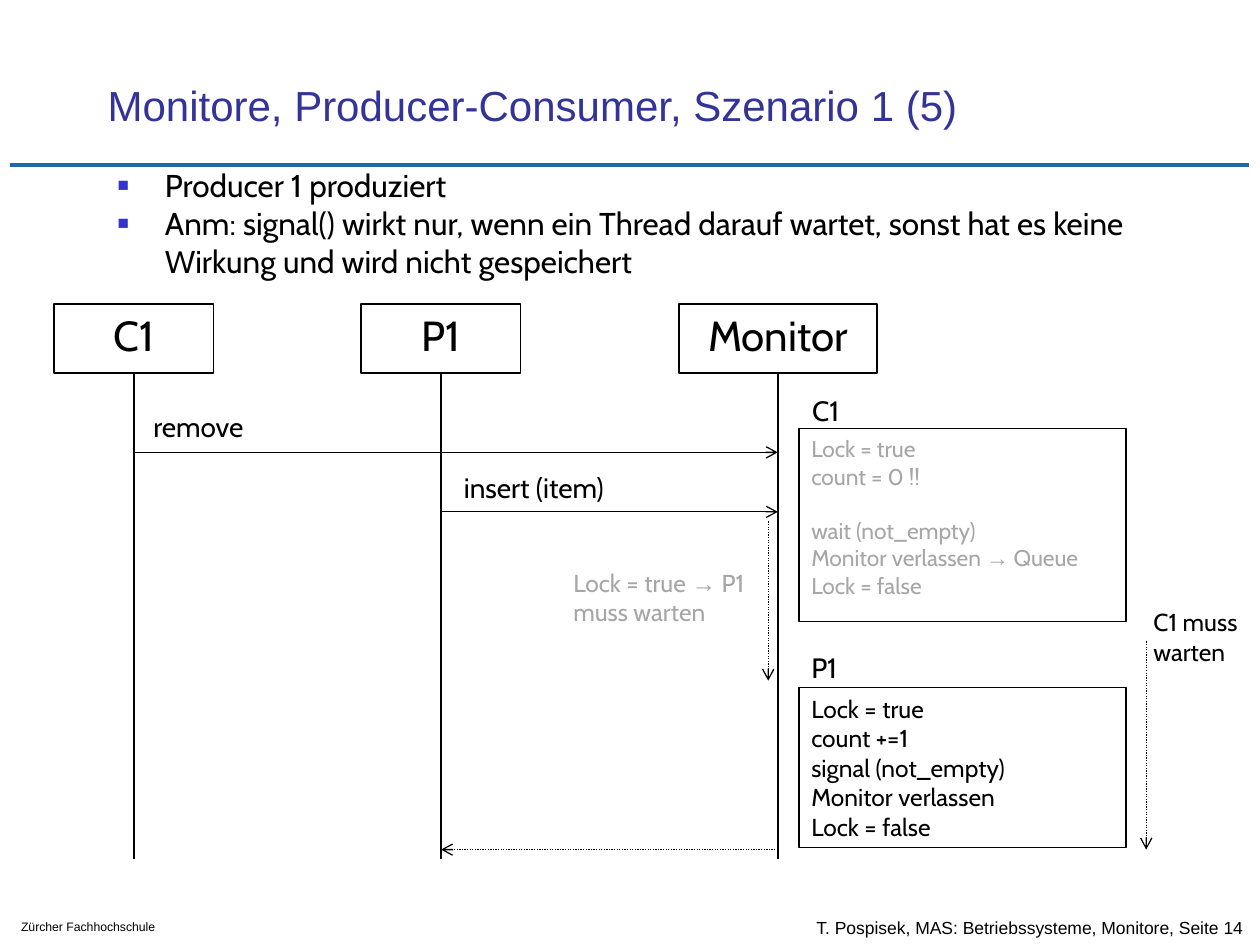
from dataclasses import dataclass

from lxml import etree
from pptx import Presentation
from pptx.dml.color import RGBColor
from pptx.enum.dml import MSO_LINE
from pptx.enum.shapes import MSO_CONNECTOR, MSO_SHAPE
from pptx.enum.text import MSO_ANCHOR, MSO_AUTO_SIZE, PP_ALIGN
from pptx.oxml.ns import qn
from pptx.util import Pt

STRAIGHT = MSO_CONNECTOR.STRAIGHT
RECTANGLE = MSO_SHAPE.RECTANGLE
DOTTED = MSO_LINE.ROUND_DOT


@dataclass(frozen=True)
class Theme:
    black: RGBColor = RGBColor(0x00, 0x00, 0x00)
    white: RGBColor = RGBColor(0xFF, 0xFF, 0xFF)
    grey: RGBColor = RGBColor(0xA6, 0xA6, 0xA6)
    title: RGBColor = RGBColor(0x33, 0x33, 0x99)
    rule: RGBColor = RGBColor(0x22, 0x66, 0xAB)
    bullet: str = "3333CC"
    heading_font: str = "Arial"
    body_font: str = "Cabin"
    heading_size: int = 24
    list_size: int = 18
    label_size: int = 16
    note_size: int = 14
    code_size: int = 13
    footer_size: int = 10
    small_size: int = 7


theme = Theme()


def write(shape, lines, size, color=theme.black, font=theme.body_font, wrap=True):
    """Write one paragraph per line; arrows use the heading font."""
    frame = shape.text_frame
    frame.word_wrap = wrap
    frame.vertical_anchor = MSO_ANCHOR.TOP
    for index, line in enumerate(lines):
        paragraph = frame.paragraphs[0] if index == 0 else frame.add_paragraph()
        paragraph.alignment = PP_ALIGN.LEFT
        paragraph.font.size = Pt(size)
        paragraph.font.color.rgb = color
        paragraph.font.name = font
        before, arrow, after = line.partition("→")
        for text in filter(None, (before, arrow, after)):
            run = paragraph.add_run()
            run.text = text
            if text == "→":
                run.font.name = theme.heading_font
    return frame


def draw_line(x1, y1, x2, y2, color=theme.black, width=0.75, dash=None, arrow=False):
    line = slide.shapes.add_connector(STRAIGHT, Pt(x1), Pt(y1), Pt(x2), Pt(y2))
    line.line.color.rgb = color
    line.line.width = Pt(width)
    if dash is not None:
        line.line.dash_style = dash
    if arrow:
        etree.SubElement(line.line._get_or_add_ln(), qn("a:tailEnd"), type="arrow")
    etree.SubElement(line._element.spPr, qn("a:effectLst"))


presentation = Presentation()
presentation.slide_width, presentation.slide_height = Pt(720), Pt(540)
slide = presentation.slides.add_slide(presentation.slide_layouts[1])

# Rule below the title
draw_line(6, 94.3, 714, 94.3, theme.rule, 2.5)

# Title
title = slide.shapes.title
title.left, title.top, title.width, title.height = Pt(48), Pt(24), Pt(613.5), Pt(54)
frame = write(title, ["Monitore, Producer-Consumer, Szenario 1 (5)"],
              theme.heading_size, theme.title, theme.heading_font)
frame.auto_size = MSO_AUTO_SIZE.NONE
frame.vertical_anchor = MSO_ANCHOR.BOTTOM
frame.margin_left = Pt(13.5)

# Bullet list
body = slide.placeholders[1]
body.left, body.top, body.width, body.height = Pt(60), Pt(91.5), Pt(600), Pt(72)
frame = write(body, [
    "Producer 1 produziert",
    "Anm: signal() wirkt nur, wenn ein Thread darauf wartet, "
    "sonst hat es keine Wirkung und wird nicht gespeichert",
], theme.list_size)
frame.auto_size = MSO_AUTO_SIZE.NONE
for paragraph in frame.paragraphs:
    paragraph.space_before = Pt(0)
    properties = paragraph._p.get_or_add_pPr()
    properties.set("marL", str(Pt(27)))
    properties.set("indent", str(-Pt(27)))
    bullet_color = etree.Element(qn("a:buClr"))
    etree.SubElement(bullet_color, qn("a:srgbClr"), val=theme.bullet)
    bullet_parts = [
        bullet_color,
        etree.Element(qn("a:buSzPct"), val="60000"),
        etree.Element(qn("a:buFont"), typeface=theme.heading_font),
        etree.Element(qn("a:buChar"), char="■"),
    ]
    position = list(properties).index(properties.find(qn("a:defRPr")))
    for offset, part in enumerate(bullet_parts):
        properties.insert(position + offset, part)

# Participants with their lifelines
consumer_x, producer_x, monitor_x = 76.5, 252, 444.5
head_top, head_height, lifeline_end = 173.5, 39.5, 491
for name, center, width in [("C1", consumer_x, 91), ("P1", producer_x, 91),
                            ("Monitor", monitor_x, 113)]:
    head = slide.shapes.add_shape(RECTANGLE, Pt(center - width / 2), Pt(head_top),
                                  Pt(width), Pt(head_height))
    head.shadow.inherit = False
    head.fill.solid()
    head.fill.fore_color.rgb = theme.white
    head.line.color.rgb = theme.black
    head.line.width = Pt(1)
    frame = write(head, [name], theme.heading_size, wrap=False)
    frame.paragraphs[0].alignment = PP_ALIGN.CENTER
    draw_line(center, head_top + head_height, center, lifeline_end, width=1)

# Calls, reply and waiting times
reply_y = 485.5
draw_line(consumer_x, 258.5, monitor_x, 258.5, arrow=True)
draw_line(producer_x, 292.5, monitor_x, 292.5, arrow=True)
for ends in [(439, 298, 439, 389), (monitor_x, reply_y, producer_x, reply_y),
             (655, 366.5, 655, reply_y)]:
    draw_line(*ends, dash=DOTTED, arrow=True)

# Framed steps and waiting notes
first_steps = ["Lock = true", "count = 0 !!", "wait (not_empty)",
               "Monitor verlassen → Queue", "Lock = false"]
second_steps = ["Lock = true", "count +=1", "signal (not_empty)",
                "Monitor verlassen", "Lock = false"]
for box, lines, size, color, border in [
    ((456.5, 245, 187, 110), first_steps, theme.code_size, theme.grey, theme.black),
    ((456.5, 393, 187, 91.5), second_steps, theme.note_size, theme.black, theme.black),
    ((320.5, 321, 114, 57.5), ["Lock = true → P1 muss warten"],
     theme.note_size, theme.grey, theme.white),
    ((652, 343.5, 68, 41), ["C1 muss warten"],
     theme.note_size, theme.black, theme.white),
]:
    panel = slide.shapes.add_shape(RECTANGLE, *map(Pt, box))
    panel.shadow.inherit = False
    panel.fill.background()
    panel.line.color.rgb = border
    panel.line.width = Pt(0.75)
    frame = write(panel, lines, size, color)
    if lines is first_steps:
        frame.paragraphs[2].space_before = Pt(15.5)

# Labels and footer
footer = "T. Pospisek, MAS: Betriebssysteme, Monitore, Seite 14"
for box, text, size, font, wrap in [
    ((80.5, 230.5, 70.5, 26.5), "remove", theme.label_size, theme.body_font, False),
    ((258, 265.5, 136, 26.5), "insert (item)", theme.label_size, theme.body_font, True),
    ((457, 221.5, 67.5, 26.5), "C1", theme.label_size, theme.body_font, True),
    ((456.5, 368, 67.5, 26.5), "P1", theme.label_size, theme.body_font, True),
    ((459.5, 518.5, 260.5, 23.5), footer, theme.footer_size, theme.heading_font, False),
    ((5, 522, 124, 16), "Zürcher Fachhochschule",
     theme.small_size, theme.heading_font, True),
]:
    label = slide.shapes.add_textbox(*map(Pt, box))
    frame = write(label, [text], size, font=font, wrap=wrap)
    if text == footer:
        frame.vertical_anchor = MSO_ANCHOR.MIDDLE

presentation.save("out.pptx")
